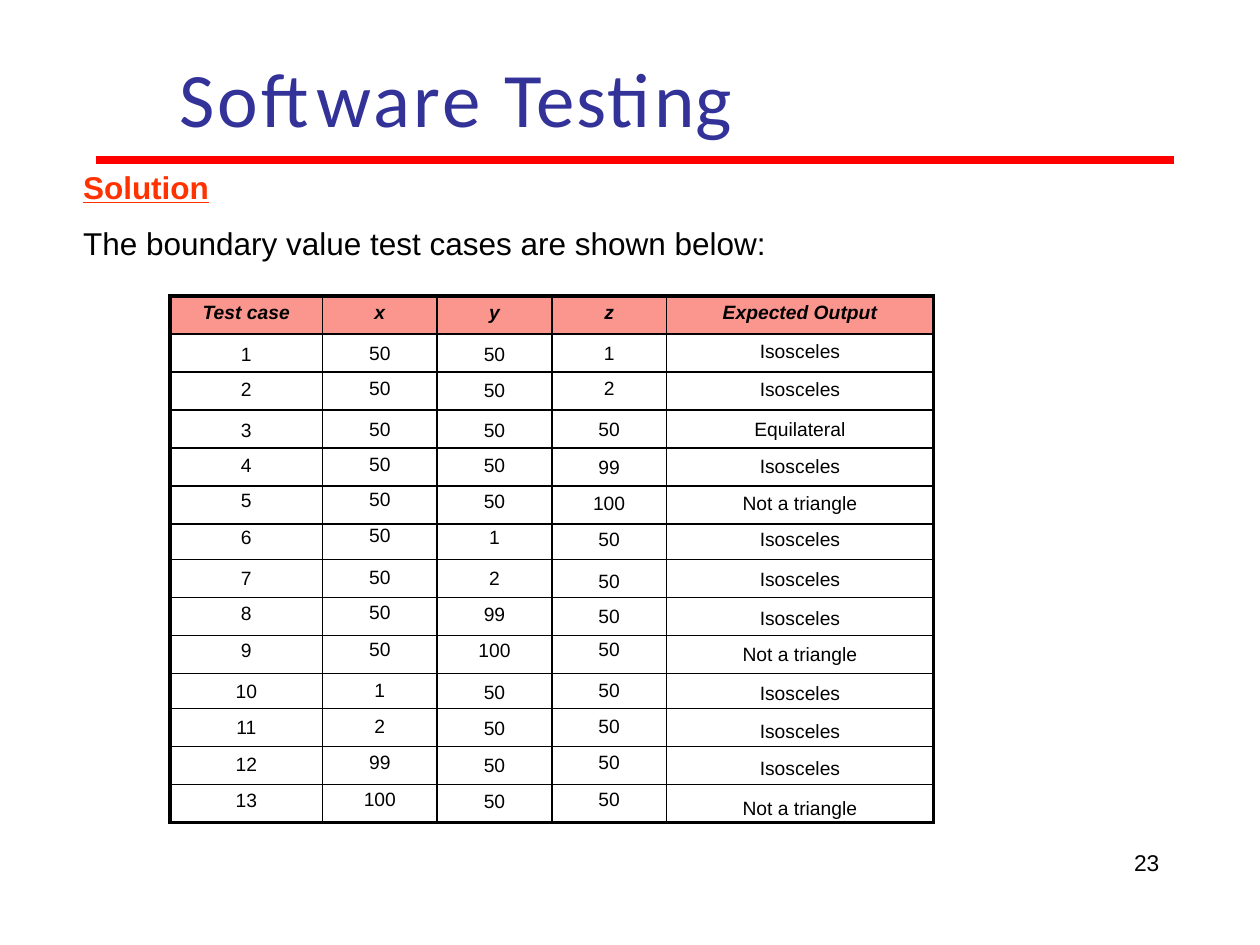
"""Build the Software Testing slide with its boundary value test cases."""
from lxml import etree
from pptx import Presentation, util as u
from pptx.dml import color as c
from pptx.enum import shapes, text
from pptx.oxml import ns

COLORS = {"title": "323299", "rule": "FF0000", "solution": "FF3200",
          "text": "000000", "header": "FB968E"}
FRAME = {"margin_left": 0, "margin_right": 0, "margin_top": 0, "margin_bottom": 0,
         "word_wrap": True, "auto_size": text.MSO_AUTO_SIZE.NONE}
TITLE = {"name": "Calibri", "size": u.Pt(44), "bold": False}
HEADING = {"name": "Arial", "size": u.Pt(18), "bold": True, "underline": True}
INTRO = {"name": "Arial", "size": u.Pt(18)}
NUMBER = {"name": "Arial", "size": u.Pt(13)}
HEADER = {"name": "Arial", "size": u.Pt(11), "bold": True, "italic": True}
CELL = {"name": "Arial", "size": u.Pt(11), "bold": False}

COLUMNS = [1.21, 0.91, 0.91, 0.91, 2.12]
TABLE_HEIGHT, SHORT_ROW, SHORT_ROWS = 4.18, 0.28, (6, 10)
HEADINGS = ["Test case", "x", "y", "z", "Expected Output"]
HEADER_TOPS = [3.3] * len(HEADINGS)
CASES = [
    (50, 50, 1, "Isosceles"), (50, 50, 2, "Isosceles"), (50, 50, 50, "Equilateral"),
    (50, 50, 99, "Isosceles"), (50, 50, 100, "Not a triangle"),
    (50, 1, 50, "Isosceles"), (50, 2, 50, "Isosceles"), (50, 99, 50, "Isosceles"),
    (50, 100, 50, "Not a triangle"), (1, 50, 50, "Isosceles"),
    (2, 50, 50, "Isosceles"), (99, 50, 50, "Isosceles"),
    (100, 50, 50, "Not a triangle"),
]
CASE_TOPS = [
    (5.7, 5, 6, 5, 3.8), (4.2, 3.3, 4.5, 3.3, 4.2), (5.7, 5, 6, 5, 5),
    (3.9, 3.2, 4.2, 5.3, 4.4), (2.4, 1.5, 2.7, 3.8, 3.8), (1.6, 0.8, 2, 3, 3),
    (5, 4.2, 5.3, 6.5, 5.5), (3.4, 2.7, 3.8, 4.8, 6), (2.7, 2, 3, 2, 5.3),
    (4.6, 3.9, 5, 3.9, 5.8), (4.8, 4.2, 5.3, 4.2, 7.4), (4.2, 3.4, 4.6, 3.4, 6.4),
    (3.2, 2.5, 3.5, 2.5, 7.8),
]


def set_all(obj, values):
    for name, value in values.items():
        setattr(obj, name, value)


def place(s, left, top, width, height):
    set_all(s, {"left": u.Inches(left), "top": u.Inches(top),
                "width": u.Inches(width), "height": u.Inches(height)})


def add_run(p, words, font, color, spacing=0):
    r = p.add_run()
    r.text = words
    set_all(r.font, font)
    r.font.color.rgb = c.RGBColor.from_string(COLORS[color])
    if spacing:
        r.font._element.set("spc", str(round(spacing * 100)))


def set_title(s):
    sp = s.shapes.title
    place(sp, 0.78, 0.39, 5.68, 0.75)
    tf = sp.text_frame
    set_all(tf, {**FRAME, "vertical_anchor": text.MSO_ANCHOR.MIDDLE})
    p = tf.paragraphs[0]
    p.alignment = text.PP_ALIGN.CENTER
    add_run(p, "Software ", TITLE, "title", 1.7)
    add_run(p, "Testing", TITLE, "title", 0.9)


def add_rule(s):
    line = s.shapes.add_connector(shapes.MSO_CONNECTOR.STRAIGHT, u.Inches(0.76),
                                  u.Inches(1.27), u.Inches(9.32), u.Inches(1.27))
    line.line.color.rgb = c.RGBColor.from_string(COLORS["rule"])
    line.line.width = u.Pt(4.5)
    etree.SubElement(line._element.spPr, ns.qn("a:effectLst"))


def add_text(s, box, paragraphs, top=0, gap=0):
    sp = s.shapes.add_textbox(*map(u.Inches, box))
    tf = sp.text_frame
    set_all(tf, {**FRAME, "margin_top": u.Inches(top)})
    for i, (words, font, color) in enumerate(paragraphs):
        p = tf.add_paragraph() if i else tf.paragraphs[0]
        if i:
            p.space_before = u.Pt(gap)
        add_run(p, words, font, color)


def set_borders(cell, outer):
    tc_pr = cell._tc.get_or_add_tcPr()
    for side in "LRTB":
        width = u.Pt(2.25 if side in outer else 1)
        ln = etree.SubElement(tc_pr, ns.qn(f"a:ln{side}"), w=str(int(width)))
        fill = etree.SubElement(ln, ns.qn("a:solidFill"))
        etree.SubElement(fill, ns.qn("a:srgbClr"), val=COLORS["text"])


def fill_cell(cell, words, top, font, outer, fill=None):
    set_all(cell, {"margin_left": 0, "margin_right": 0, "margin_bottom": 0,
                   "margin_top": u.Pt(top)})
    set_borders(cell, outer)
    if fill:
        cell.fill.solid()
        cell.fill.fore_color.rgb = c.RGBColor.from_string(COLORS[fill])
    else:
        cell.fill.background()
    p = cell.text_frame.paragraphs[0]
    p.alignment = text.PP_ALIGN.CENTER
    add_run(p, str(words), font, "text")


def add_cases(s):
    rows = [HEADINGS] + [(n, *case) for n, case in enumerate(CASES, 1)]
    tops = [HEADER_TOPS] + CASE_TOPS
    last_row, last_col = len(rows) - 1, len(COLUMNS) - 1
    box = map(u.Inches, (1.35, 2.35, sum(COLUMNS), TABLE_HEIGHT))
    table = s.shapes.add_table(len(rows), len(COLUMNS), *box).table
    set_all(table, {"first_row": False, "horz_banding": False})
    for column, width in zip(table.columns, COLUMNS):
        column.width = u.Inches(width)
    short = len(SHORT_ROWS)
    tall_row = (TABLE_HEIGHT - short * SHORT_ROW) / (len(rows) - short)
    for i, row in enumerate(rows):
        table.rows[i].height = u.Inches(SHORT_ROW if i in SHORT_ROWS else tall_row)
        font, fill = (CELL, None) if i else (HEADER, "header")
        for j, words in enumerate(row):
            edges = {"T": i == 0, "B": i == last_row, "L": j == 0, "R": j == last_col}
            outer = [side for side, on_edge in edges.items() if on_edge]
            fill_cell(table.cell(i, j), words, tops[i][j], font, outer, fill)


def main():
    prs = Presentation()
    set_all(prs, {"slide_width": u.Inches(10), "slide_height": u.Inches(7.5)})
    s = prs.slides.add_slide(prs.slide_layouts.get_by_name("Title Only"))
    set_title(s)
    add_rule(s)
    add_text(s, (0.66, 1.17, 5.5, 0.93),
             [("Solution", HEADING, "solution"),
              ("The boundary value test cases are shown below:", INTRO, "text")],
             top=0.16, gap=10.9)
    add_text(s, (9, 6.74, 0.25, 0.2), [("23", NUMBER, "text")])
    add_cases(s)
    prs.save("out.pptx")


if __name__ == "__main__":
    main()
